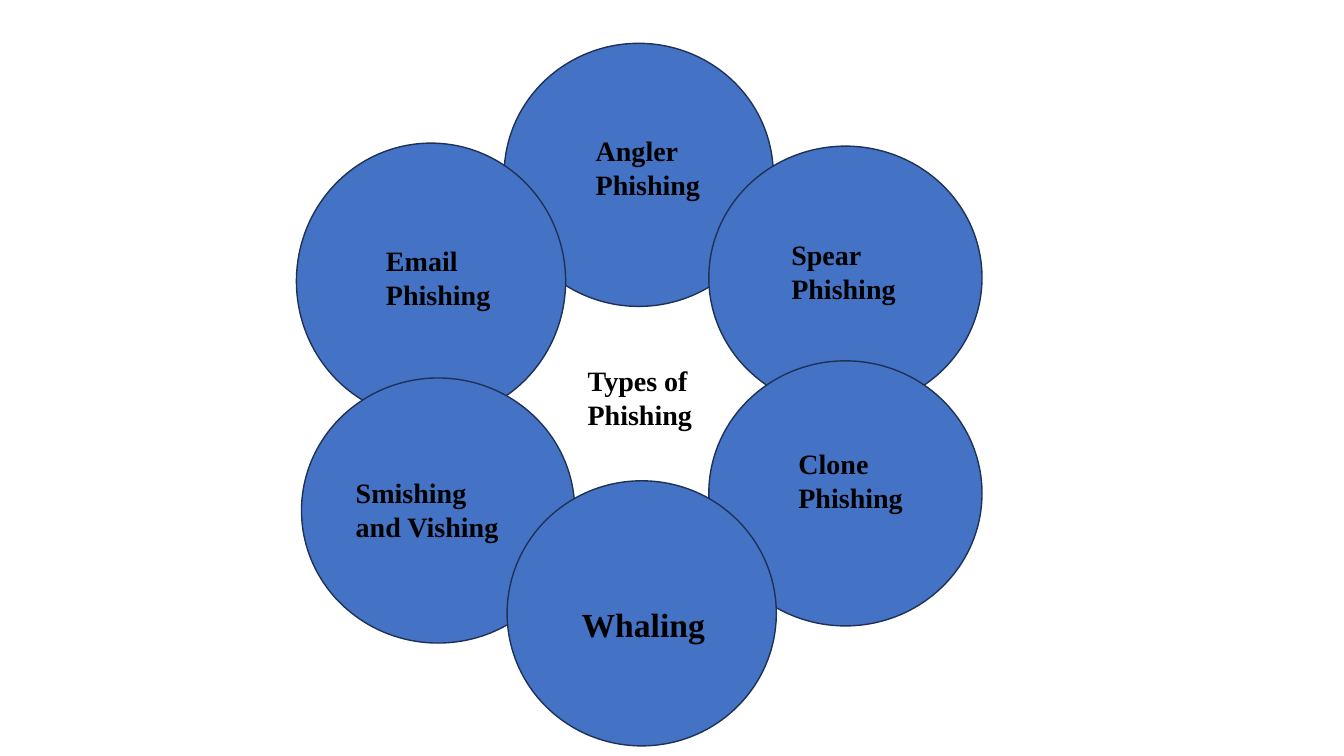
from typing import NamedTuple

import pptx
import pptx.dml.color
import pptx.enum.shapes
import pptx.enum.text
import pptx.util

Inches = pptx.util.Inches
FONT = {"name": "Times New Roman", "bold": True}


class Disc(NamedTuple):
    left: float
    top: float
    width: float
    height: float


class Label(NamedTuple):
    text: str
    left: float
    top: float
    width: float
    height: float = 0.77
    size: int = 20


# Listed from back to front
DISCS = [
    Disc(5, 0.43, 2.67, 2.61),
    Disc(7.03, 1.45, 2.71, 2.61),
    Disc(2.94, 1.42, 2.67, 2.74),
    Disc(2.99, 3.75, 2.71, 2.63),
    Disc(7.03, 3.58, 2.71, 2.63),
    Disc(5.03, 4.77, 2.67, 2.63),
]
LABELS = [
    Label("Email Phishing", 3.73, 2.37, 1.75),
    Label("Clone Phishing", 7.82, 4.38, 1.79),
    Label("Whaling", 5.67, 5.94, 1.99, 0.5, 24),
    Label("Spear Phishing", 7.75, 2.31, 1.9),
    Label("Smishing\nand Vishing", 3.43, 4.67, 1.83),
    Label("Angler Phishing", 5.67 + 0.14, 1.28, 1.54),
    Label("Types of Phishing", 5.73, 3.56, 1.76),
]


def color(code: str) -> pptx.dml.color.RGBColor:
    return pptx.dml.color.RGBColor.from_string(code)


def place(item: Disc | Label) -> list[int]:
    return [Inches(n) for n in (item.left, item.top, item.width, item.height)]


def draw_disc(slide: pptx.slide.Slide, disc: Disc) -> None:
    oval = pptx.enum.shapes.MSO_SHAPE.OVAL
    shape = slide.shapes.add_shape(oval, *place(disc))
    shape.shadow.inherit = False
    shape.fill.solid()
    shape.fill.fore_color.rgb = color("4472C4")
    shape.line.color.rgb = color("1E3256")
    shape.line.width = pptx.util.Pt(1)


def draw_label(slide: pptx.slide.Slide, label: Label) -> None:
    frame = slide.shapes.add_textbox(*place(label)).text_frame
    frame.word_wrap = True
    frame.auto_size = pptx.enum.text.MSO_AUTO_SIZE.SHAPE_TO_FIT_TEXT
    frame.text = label.text
    for para in frame.paragraphs:
        font = para.runs[0].font
        for key, value in FONT.items():
            setattr(font, key, value)
        font.size = pptx.util.Pt(label.size)
        font.color.rgb = color("000000")


def main() -> None:
    deck = pptx.Presentation()
    deck.slide_width, deck.slide_height = Inches(13.33), Inches(7.5)
    slide = deck.slides.add_slide(deck.slide_layouts[6])
    for disc in DISCS:
        draw_disc(slide, disc)
    for label in LABELS:
        draw_label(slide, label)
    deck.save("out.pptx")


if __name__ == "__main__":
    main()
